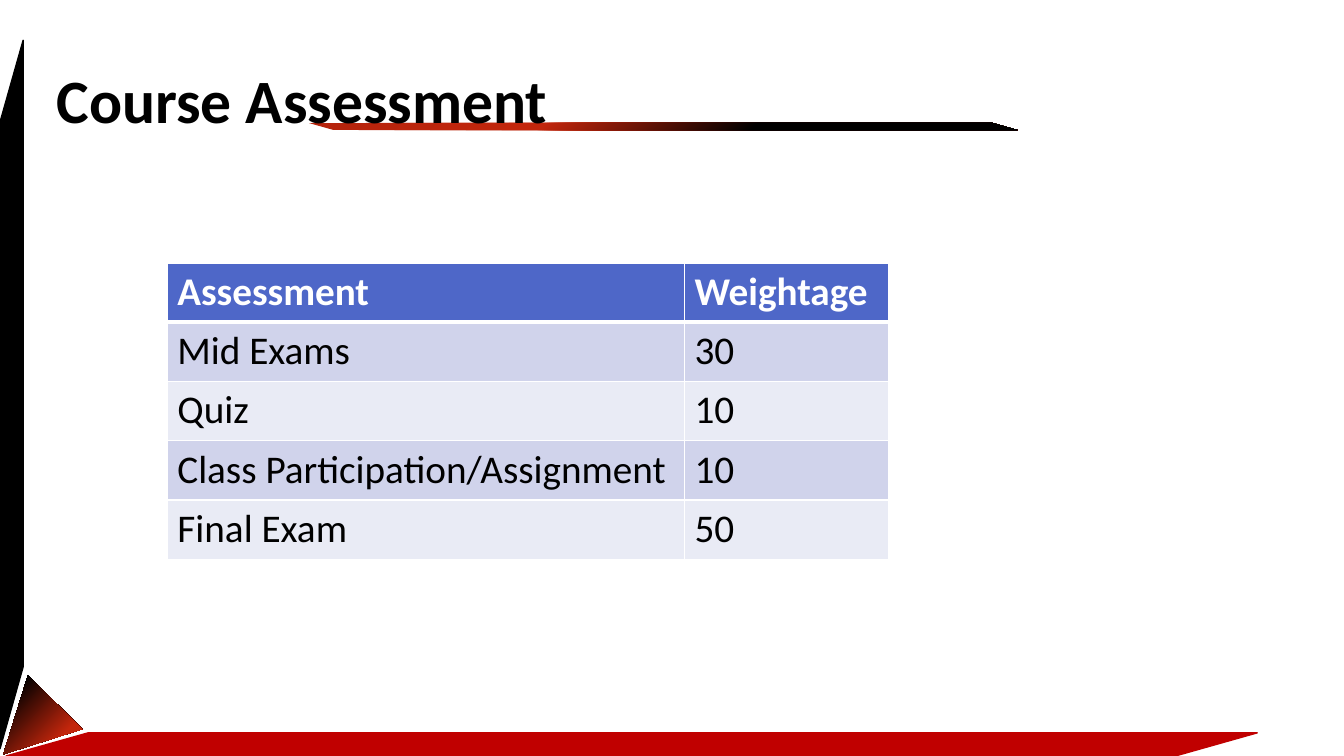
from lxml import etree
from pptx import Presentation
from pptx.dml.color import RGBColor
from pptx.enum.shapes import MSO_SHAPE
from pptx.enum.text import MSO_ANCHOR, MSO_AUTO_SIZE, PP_ALIGN
from pptx.oxml.ns import qn
from pptx.util import Inches, Pt

PARALLELOGRAM = MSO_SHAPE.PARALLELOGRAM
TRIANGLE = MSO_SHAPE.FLOWCHART_MERGE
MIDDLE = MSO_ANCHOR.MIDDLE
LEFT = PP_ALIGN.LEFT
NO_AUTOFIT = MSO_AUTO_SIZE.NONE
TITLE_ONLY = 5

BLACK = RGBColor(0x00, 0x00, 0x00)
WHITE = RGBColor(0xFF, 0xFF, 0xFF)
RED = RGBColor(0xC0, 0x00, 0x00)
BRIGHT_RED = RGBColor(0xE8, 0x2D, 0x0F)
BRICK = RGBColor(0xC3, 0x26, 0x0C)
DARK_BRICK = RGBColor(0xB6, 0x24, 0x0C)
HEADER_BLUE = RGBColor(0x4E, 0x67, 0xC8)
BAND_DARK = RGBColor(0xD0, 0xD3, 0xEB)
BAND_LIGHT = RGBColor(0xE9, 0xEB, 0xF5)

CORNER_STOPS = [(23, BLACK), (23, BRIGHT_RED), (24, BLACK), (69, BRICK), (97, DARK_BRICK)]
UNDERLINE_STOPS = [(0, BLACK), (37, BLACK), (67, BRICK), (97, DARK_BRICK)]
SLANT = 3.54
ASSESSMENTS = [
    ("Assessment", "Weightage"),
    ("Mid Exams", "30"),
    ("Quiz", "10"),
    ("Class Participation/Assignment", "10"),
    ("Final Exam", "50"),
]


class SlideBuilder:
    """Holds the text style and the current slide."""

    def __init__(self, deck):
        """Add a title-only slide to the deck."""
        self.page = deck.slides.add_slide(deck.slide_layouts[TITLE_ONLY])
        self.font = "Calibri"

    def apply(self, target, values):
        """Set each attribute named in values."""
        for name, value in values.items():
            setattr(target, name, value)

    def add_span(self, para, text, size, color, bold):
        """Add one styled span to a paragraph."""
        span = para.add_run()
        span.text = text
        self.apply(span.font, {"name": self.font, "size": Pt(size), "bold": bold})
        span.font.color.rgb = color

    def title(self, text, box):
        """Place and fill the title placeholder in front of the ornaments."""
        title = self.page.shapes.title
        title.element.getparent().append(title.element)
        self.apply(title, dict(zip(("left", "top", "width", "height"), map(Inches, box))))
        frame = title.text_frame
        self.apply(frame, {"word_wrap": True, "auto_size": NO_AUTOFIT, "vertical_anchor": MIDDLE})
        para = frame.paragraphs[0]
        self.apply(para, {"alignment": LEFT, "line_spacing": 0.9})
        self.add_span(para, text, 44, BLACK, True)

    def ornament(self, kind, box, rotation, color=None, flipped=False):
        """Draw a rotated decorative shape, outlined when it has a plain colour."""
        shape = self.page.shapes.add_shape(kind, *map(Inches, box))
        shape.shadow.inherit = False
        shape.rotation = rotation
        if kind == PARALLELOGRAM:
            shape.adjustments[0] = SLANT
        if flipped:
            shape.element.spPr.find(qn("a:xfrm")).set("flipV", "1")
        if color is None:
            shape.line.fill.background()
        else:
            shape.fill.solid()
            shape.fill.fore_color.rgb = color
            shape.line.color.rgb = color
            shape.line.width = Pt(1)
        return shape

    def gradient(self, shape, stops, circular=False):
        """Fill a shape with a linear or a circular gradient."""
        shape.fill.gradient()
        fill = shape.element.spPr.find(qn("a:gradFill"))
        for child in list(fill):
            fill.remove(child)
        stop_list = etree.SubElement(fill, qn("a:gsLst"))
        for position, color in stops:
            stop = etree.SubElement(stop_list, qn("a:gs"), pos=str(position * 1000))
            etree.SubElement(stop, qn("a:srgbClr"), val=str(color))
        if circular:
            circle = etree.SubElement(fill, qn("a:path"))
            circle.set("path", "circle")
            etree.SubElement(circle, qn("a:fillToRect"), l="100000", t="100000")
        else:
            etree.SubElement(fill, qn("a:lin"), ang="0", scaled="0")

    def border(self, cell, side, width):
        """Draw one white cell border."""
        properties = cell._tc.get_or_add_tcPr()
        line = etree.SubElement(properties, qn(f"a:ln{side}"), w=str(Pt(width)))
        fill = etree.SubElement(line, qn("a:solidFill"))
        etree.SubElement(fill, qn("a:srgbClr"), val=str(WHITE))

    def table(self, rows, box, widths):
        """Draw a banded table with a header row."""
        table = self.page.shapes.add_table(len(rows), len(widths), *map(Inches, box)).table
        for column, width in zip(table.columns, widths):
            column.width = Inches(width)
        for index, values in enumerate(rows):
            header = index == 0
            table.rows[index].height = Inches(box[3] / len(rows))
            fill = HEADER_BLUE if header else (BAND_LIGHT, BAND_DARK)[index % 2]
            edges = {"L": 1, "R": 1, "T": 3 if index == 1 else 1, "B": 3 if header else 1}
            for cell, text in zip(table.rows[index].cells, values):
                for side, width in edges.items():
                    self.border(cell, side, width)
                cell.fill.solid()
                cell.fill.fore_color.rgb = fill
                para = cell.text_frame.paragraphs[0]
                self.add_span(para, text, 28, WHITE if header else BLACK, header)


def main():
    """Build the course assessment slide."""
    deck = Presentation()
    deck.slide_width, deck.slide_height = Inches(13.33), Inches(7.5)
    slide = SlideBuilder(deck)
    slide.ornament(PARALLELOGRAM, (-3.4, 3.8, 7.03, 0.23), 90, BLACK, flipped=True)
    corner = slide.ornament(TRIANGLE, (-0.09, 6.86, 0.76, 0.73), 44.8)
    slide.gradient(corner, CORNER_STOPS)
    slide.ornament(PARALLELOGRAM, (0.06, 7.27, 12.41, 0.23), 180, RED)
    underline = slide.ornament(PARALLELOGRAM, (3.06, 1.22, 7.03, 0.07), 180, flipped=True)
    slide.gradient(underline, UNDERLINE_STOPS, circular=True)
    slide.title("Course Assessment", (0.46, 0.3, 9.7, 1.46))
    slide.table(ASSESSMENTS, (1.66, 2.61, 7.15, 2.94), (5.13, 2.02))
    deck.save("out.pptx")


if __name__ == "__main__":
    main()
